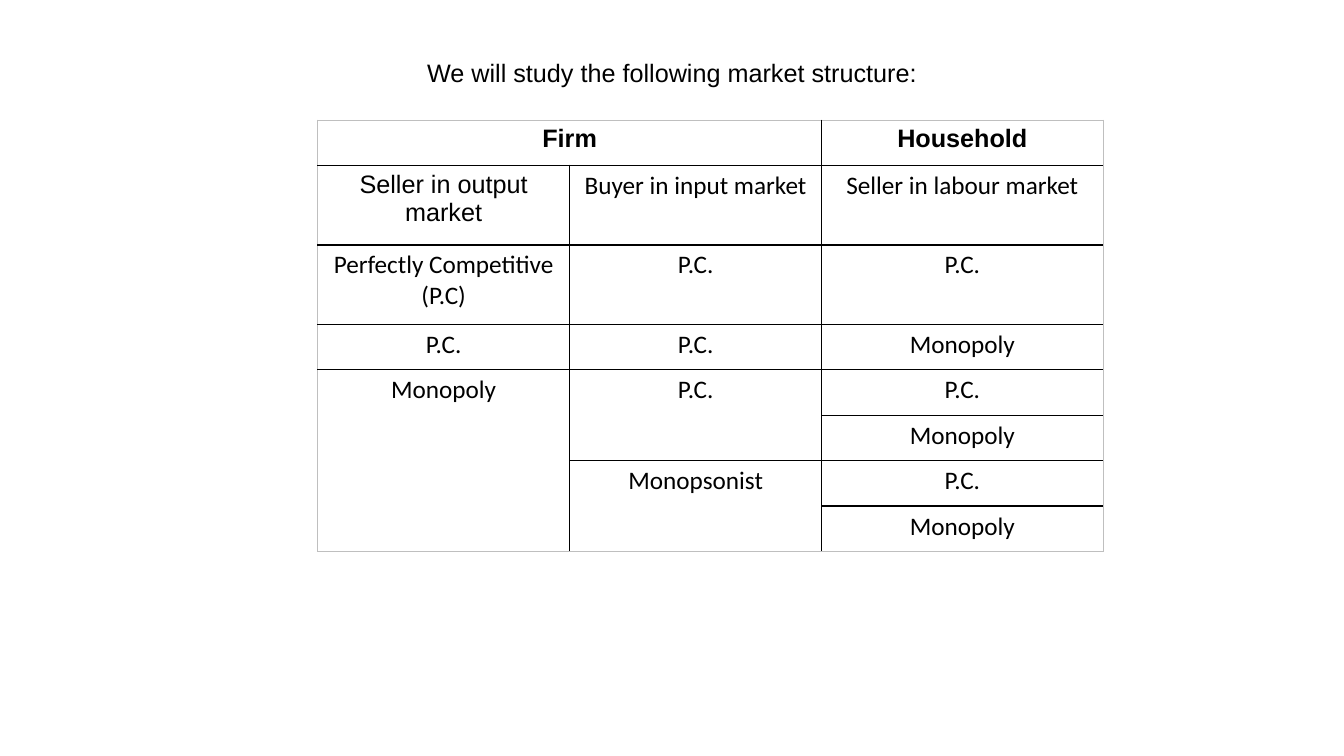
from lxml import etree
from pptx import Presentation
from pptx.dml.color import RGBColor
from pptx.enum.text import PP_ALIGN
from pptx.oxml.ns import qn
from pptx.util import Inches, Pt

CENTER = PP_ALIGN.CENTER
BLACK = RGBColor(0x00, 0x00, 0x00)
GREY = RGBColor(0xBF, 0xBF, 0xBF)

TITLE = "We will study the following market structure:"
COL_WIDTHS = [2.5, 2.5, 2.79]
ROW_HEIGHTS = [0.45, 0.79, 0.79] + [0.45] * 5
ROWS = [
    ["Firm", None, "Household"],
    ["Seller in output market", "Buyer in input market", "Seller in labour market"],
    ["Perfectly Competitive (P.C)", "P.C.", "P.C."],
    ["P.C.", "P.C.", "Monopoly"],
    ["Monopoly", "P.C.", "P.C."],
    [None, None, "Monopoly"],
    [None, "Monopsonist", "P.C."],
    [None, None, "Monopoly"],
]
MERGES = [((0, 0), (0, 1)), ((4, 0), (7, 0)), ((4, 1), (5, 1)), ((6, 1), (7, 1))]
ARIAL_CELLS = {(0, 0), (0, 2), (1, 0)}


def write(tf, text, name="Calibri", bold=False):
    """Put one centred line of text in a text frame."""
    p = tf.paragraphs[0]
    p.alignment = CENTER
    r = p.add_run()
    r.text = text
    for key, value in {"name": name, "size": Pt(18), "bold": bold}.items():
        setattr(r.font, key, value)
    r.font.color.rgb = BLACK


def set_borders(cell, outer):
    """Draw the four sides of a cell, with grey for the table's outer edge."""
    tcPr = cell._tc.get_or_add_tcPr()
    for i, side in enumerate("LRTB"):
        color, width = (GREY, Pt(0.5)) if side in outer else (BLACK, Pt(1))
        ln = etree.Element(qn(f"a:ln{side}"), w=str(int(width)))
        fill = etree.SubElement(ln, qn("a:solidFill"))
        etree.SubElement(fill, qn("a:srgbClr"), val=str(color))
        tcPr.insert(i, ln)


def add_title(slide):
    """Add the heading above the table."""
    tf = slide.shapes.add_textbox(Inches(0.16), Inches(0.52), Inches(13.01), Inches(0.71)).text_frame
    tf.word_wrap = True
    write(tf, TITLE, "Arial")


def add_market_table(slide):
    """Add the table of market structures."""
    n_rows, n_cols = len(ROWS), len(COL_WIDTHS)
    table = slide.shapes.add_table(
        n_rows, n_cols, Inches(3.15), Inches(1.19),
        Inches(sum(COL_WIDTHS)), Inches(sum(ROW_HEIGHTS))).table
    table.first_row = table.horz_banding = False
    for col, width in zip(table.columns, COL_WIDTHS):
        col.width = Inches(width)
    for row, height in zip(table.rows, ROW_HEIGHTS):
        row.height = Inches(height)
    for start, end in MERGES:
        table.cell(*start).merge(table.cell(*end))
    for i, texts in enumerate(ROWS):
        for j, text in enumerate(texts):
            cell = table.cell(i, j)
            cell.fill.background()
            edges = {"L": j == 0, "R": j == n_cols - 1, "T": i == 0, "B": i == n_rows - 1}
            if cell.is_merge_origin:
                edges["B"] = i + cell.span_height == n_rows
            set_borders(cell, [side for side, on in edges.items() if on])
            if text:
                name = "Arial" if (i, j) in ARIAL_CELLS else "Calibri"
                write(cell.text_frame, text, name, bold=i == 0)


def main():
    """Build the slide and save it."""
    prs = Presentation()
    prs.slide_width, prs.slide_height = Inches(13.33), Inches(7.5)
    slide = prs.slides.add_slide(prs.slide_layouts[6])
    add_title(slide)
    add_market_table(slide)
    prs.save("out.pptx")


if __name__ == "__main__":
    main()
